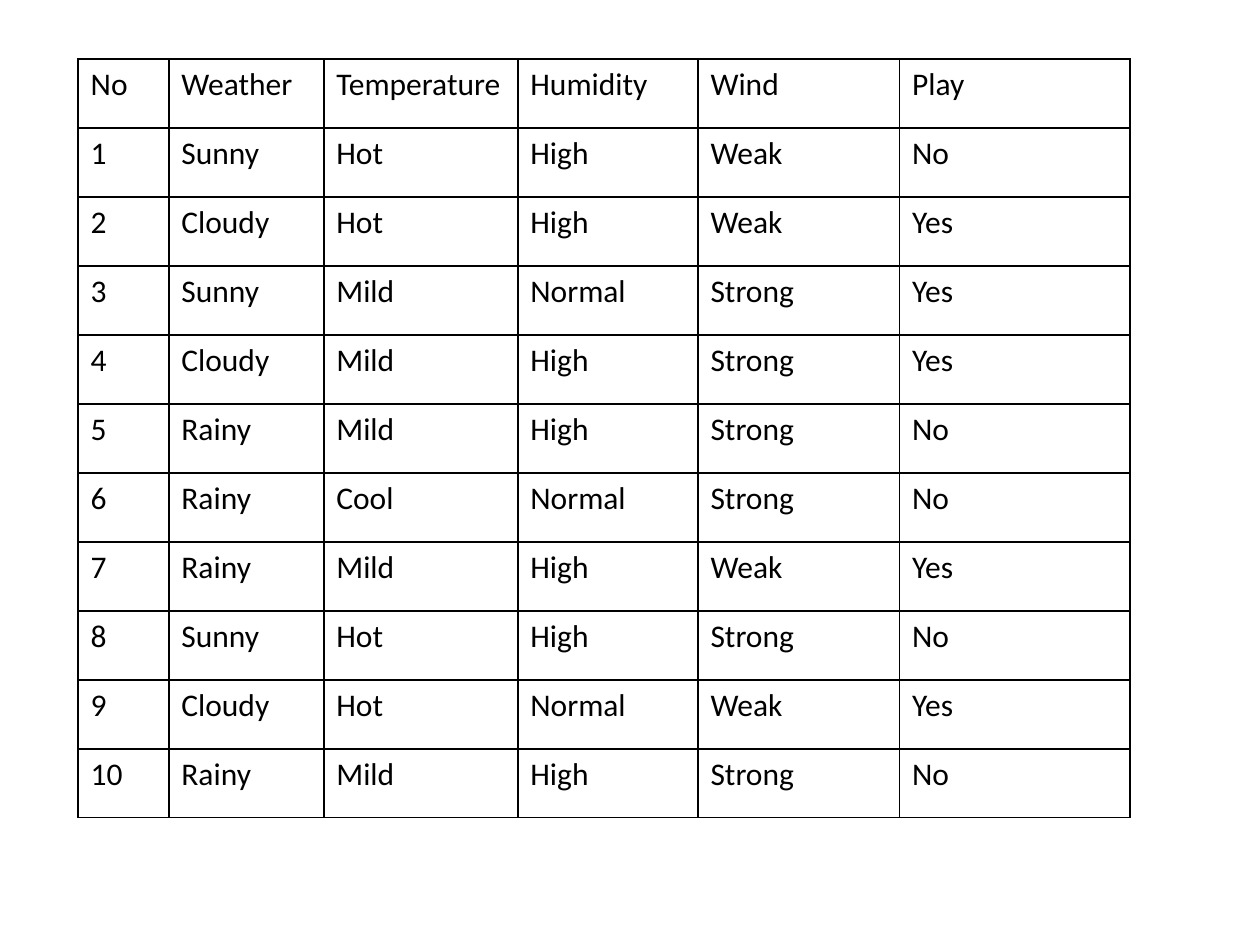
"""Build a slide with a table of weather observations and play decisions."""
from lxml.etree import SubElement
from pptx import Presentation
from pptx.dml.color import RGBColor
from pptx.oxml.ns import qn
from pptx.util import Inches, Pt

BLACK = "000000"
COLUMN_WIDTHS = [0.72, 1.23, 1.54, 1.43, 1.6, 1.83]
TABLE_HEIGHT = 6.02
ROWS = [
    ("No", "Weather", "Temperature", "Humidity", "Wind", "Play"),
    ("1", "Sunny", "Hot", "High", "Weak", "No"),
    ("2", "Cloudy", "Hot", "High", "Weak", "Yes"),
    ("3", "Sunny", "Mild", "Normal", "Strong", "Yes"),
    ("4", "Cloudy", "Mild", "High", "Strong", "Yes"),
    ("5", "Rainy", "Mild", "High", "Strong", "No"),
    ("6", "Rainy", "Cool", "Normal", "Strong", "No"),
    ("7", "Rainy", "Mild", "High", "Weak", "Yes"),
    ("8", "Sunny", "Hot", "High", "Strong", "No"),
    ("9", "Cloudy", "Hot", "Normal", "Weak", "Yes"),
    ("10", "Rainy", "Mild", "High", "Strong", "No"),
]


def set_borders(cell, color, width):
    properties = cell._tc.get_or_add_tcPr()
    for side in ("a:lnL", "a:lnR", "a:lnT", "a:lnB"):
        line = SubElement(properties, qn(side), w=str(Pt(width)))
        fill = SubElement(line, qn("a:solidFill"))
        SubElement(fill, qn("a:srgbClr"), val=color)


presentation = Presentation()
presentation.slide_width = Inches(10)
presentation.slide_height = Inches(7.5)
slide = presentation.slides.add_slide(presentation.slide_layouts[6])

table = slide.shapes.add_table(
    len(ROWS), len(COLUMN_WIDTHS), Inches(0.62), Inches(0.47),
    Inches(sum(COLUMN_WIDTHS)), Inches(TABLE_HEIGHT),
).table
table.first_row = False
table.horz_banding = False
for column, width in zip(table.columns, COLUMN_WIDTHS):
    column.width = Inches(width)

for row, values in zip(table.rows, ROWS):
    row.height = Inches(TABLE_HEIGHT / len(ROWS))
    for cell, value in zip(row.cells, values):
        set_borders(cell, BLACK, 1)
        cell.fill.background()
        run = cell.text_frame.paragraphs[0].add_run()
        run.text = value
        run.font.name = "Calibri"
        run.font.size = Pt(18)
        run.font.color.rgb = RGBColor.from_string(BLACK)

presentation.save("out.pptx")
